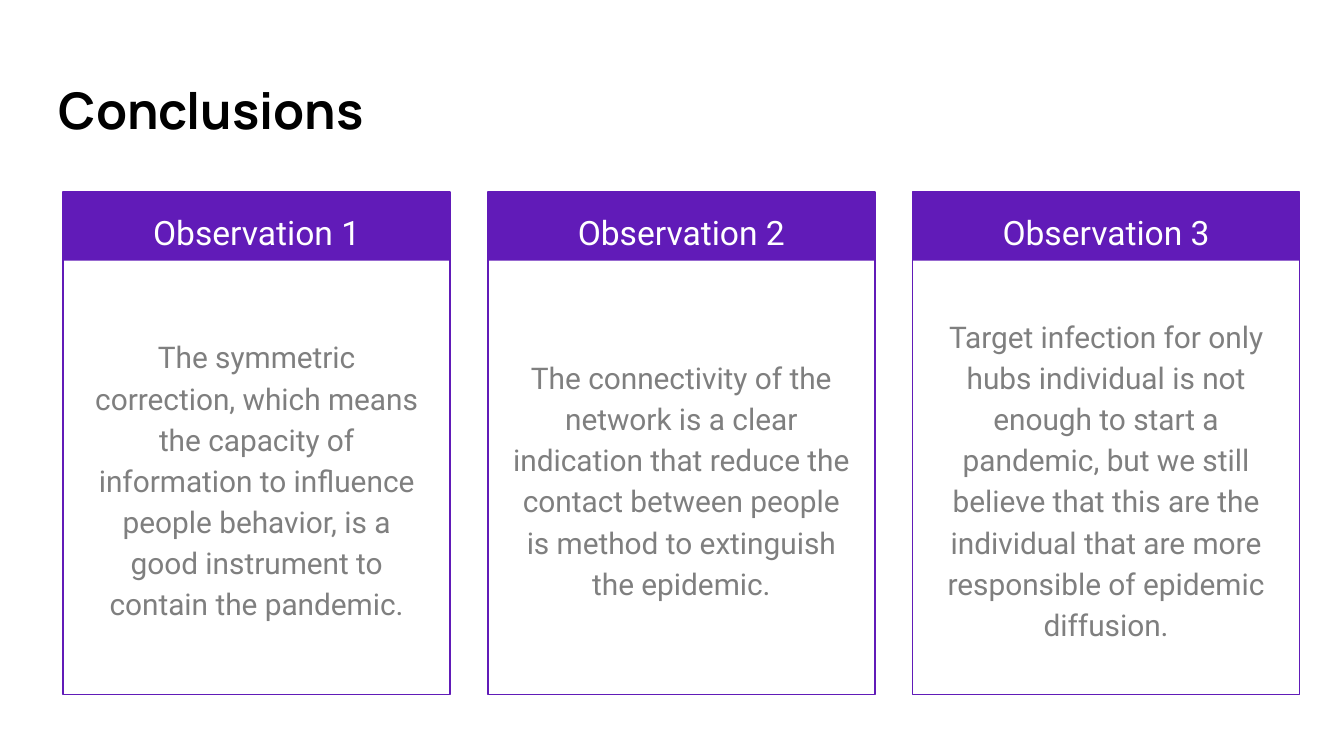
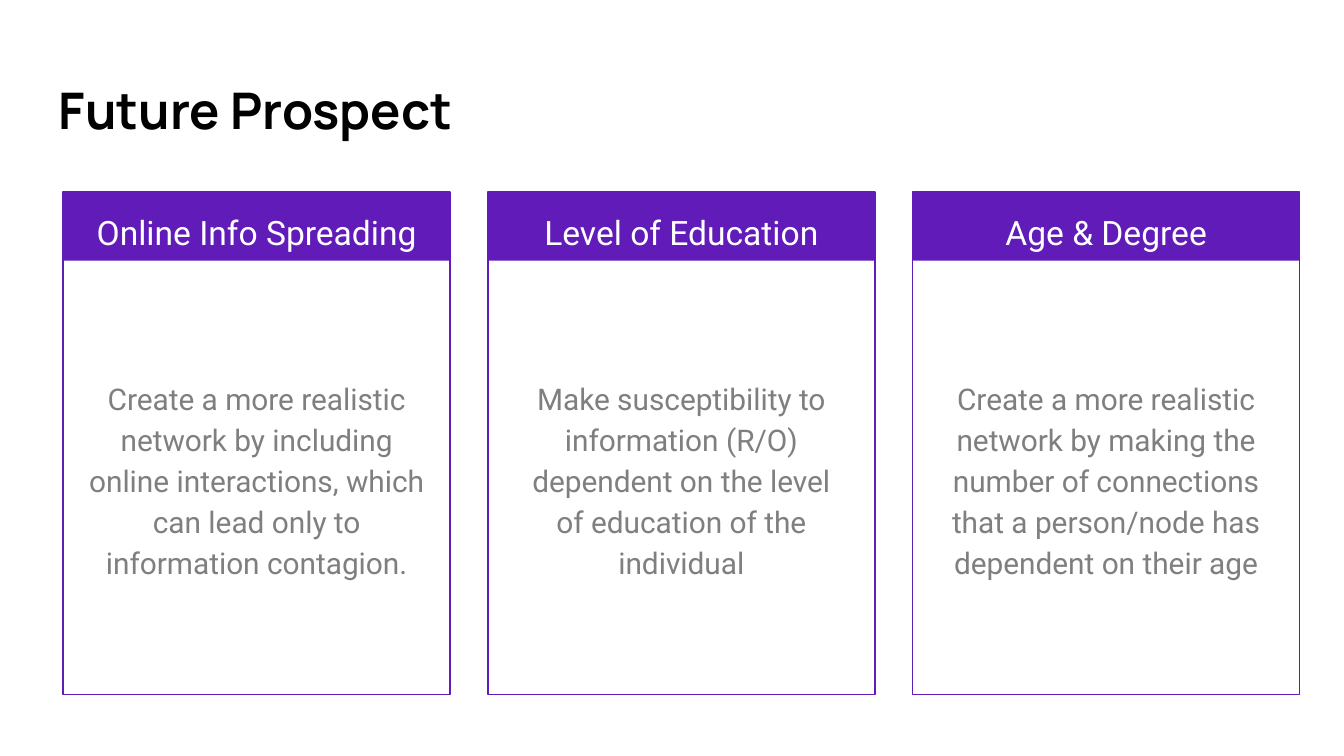
from dataclasses import dataclass

from pptx import Presentation
from pptx.dml.color import RGBColor
from pptx.enum.shapes import MSO_SHAPE
from pptx.enum.text import MSO_ANCHOR as Anchor, PP_ALIGN as Align
from pptx.util import Inches, Pt

SLIDES = [
    ("Conclusions", [
        ("Observation 1",
         "The symmetric correction, which means the capacity of information "
         "to influence people behavior, is a good instrument to contain the pandemic."),
        ("Observation 2",
         "The connectivity of the network is a clear indication that reduce the "
         "contact between people is method to extinguish the epidemic."),
        ("Observation 3",
         "Target infection for only hubs individual is not enough to start a pandemic, "
         "but we still believe that this are the individual that are more responsible "
         "of epidemic diffusion."),
    ]),
    ("Future Prospect", [
        ("Online Info Spreading",
         "Create a more realistic network by including online interactions, "
         "which can lead only to information contagion."),
        ("Level of Education",
         "Make susceptibility to information (R/O) dependent on the level\n"
         "of education of the individual"),
        ("Age & Degree",
         "Create a more realistic network by making the number of connections "
         "that a person/node has dependent on their age"),
    ]),
]


@dataclass(frozen=True)
class TextStyle:
    font: str
    size: int
    color: str
    bold: bool = False
    align: Align = Align.CENTER
    anchor: Anchor = Anchor.TOP
    line_spacing: float = 1.15
    space_after: int = 0


@dataclass(frozen=True)
class Theme:
    accent: str = "611BB8"
    outline: float = 0.75
    title: TextStyle = TextStyle("Manrope", 27, "000000", True, Align.LEFT, line_spacing=1.0)
    heading: TextStyle = TextStyle("Roboto", 18, "FFFFFF")
    body: TextStyle = TextStyle("Roboto", 16, "7F7F7F", anchor=Anchor.MIDDLE, space_after=12)


THEME = Theme()
WIDTH = 10
HEIGHT = WIDTH * 9 / 16
TITLE_BOX = (0.34, 0.49, 9.32, 0.68)
CARD_LEFT, CARD_TOP, CARD_WIDTH, CARD_HEIGHT = 0.47, 1.43, 2.88, 3.74
CARD_PITCH = 3.16
BAND_HEIGHT, HEADING_HEIGHT = 0.51, 0.5
HEADING_INSET, BODY_INSET = 0.08, 0.08


def add_text(slide, box, text, style):
    frame = slide.shapes.add_textbox(*map(Inches, box)).text_frame
    frame.word_wrap = True
    frame.vertical_anchor = style.anchor
    frame.margin_left = frame.margin_right = Inches(0.1)
    frame.margin_top = frame.margin_bottom = Inches(0.1)
    paragraph = frame.paragraphs[0]
    paragraph.alignment = style.align
    paragraph.line_spacing = style.line_spacing
    paragraph.space_after = Pt(style.space_after)
    for index, line in enumerate(text.split("\n")):
        if index:
            paragraph.add_line_break()
        run = paragraph.add_run()
        run.text = line
        run.font.name = style.font
        run.font.size = Pt(style.size)
        run.font.bold = style.bold
        run.font.color.rgb = RGBColor.from_string(style.color)


def add_rectangle(group, left, height, filled):
    box = (left, CARD_TOP, CARD_WIDTH, height)
    shape = group.shapes.add_shape(MSO_SHAPE.RECTANGLE, *map(Inches, box))
    shape.shadow.inherit = False
    accent = RGBColor.from_string(THEME.accent)
    if filled:
        shape.fill.solid()
        shape.fill.fore_color.rgb = accent
        shape.line.fill.background()
    else:
        shape.fill.background()
        shape.line.color.rgb = accent
        shape.line.width = Pt(THEME.outline)


def add_card(slide, column, heading, body):
    left = CARD_LEFT + column * CARD_PITCH
    group = slide.shapes.add_group_shape()
    add_rectangle(group, left, BAND_HEIGHT, filled=True)
    add_rectangle(group, left, CARD_HEIGHT, filled=False)
    heading_box = (left + HEADING_INSET, CARD_TOP,
                   CARD_WIDTH - 2 * HEADING_INSET, HEADING_HEIGHT)
    body_box = (left + BODY_INSET, CARD_TOP + BAND_HEIGHT + BODY_INSET,
                CARD_WIDTH - 2 * BODY_INSET,
                CARD_HEIGHT - BAND_HEIGHT - 2 * BODY_INSET)
    add_text(slide, heading_box, heading, THEME.heading)
    add_text(slide, body_box, body, THEME.body)


def main():
    presentation = Presentation()
    presentation.slide_width = Inches(WIDTH)
    presentation.slide_height = Inches(HEIGHT)
    for title, cards in SLIDES:
        slide = presentation.slides.add_slide(presentation.slide_layouts[6])
        add_text(slide, TITLE_BOX, title, THEME.title)
        for column, (heading, body) in enumerate(cards):
            add_card(slide, column, heading, body)
    presentation.save("out.pptx")


if __name__ == "__main__":
    main()
